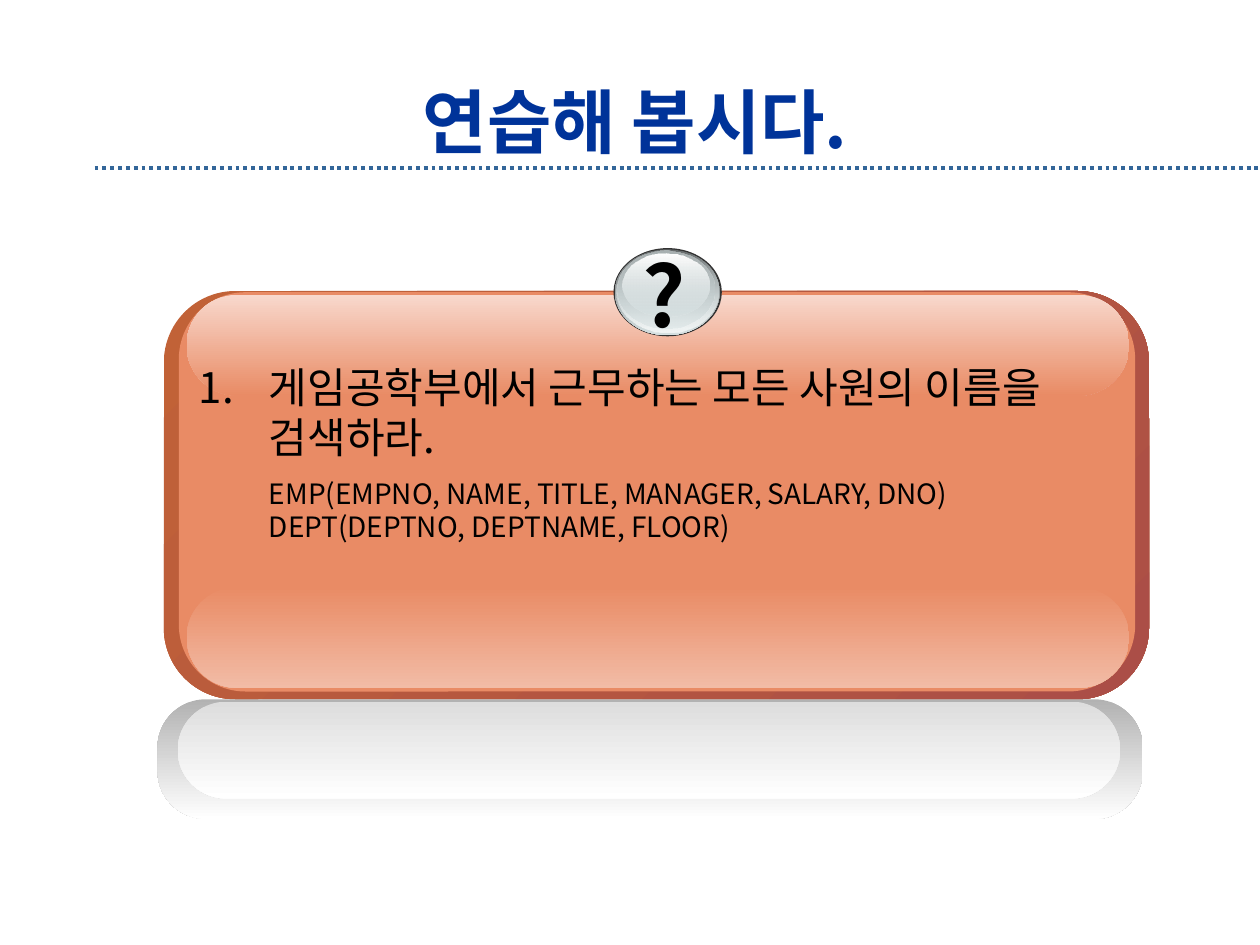
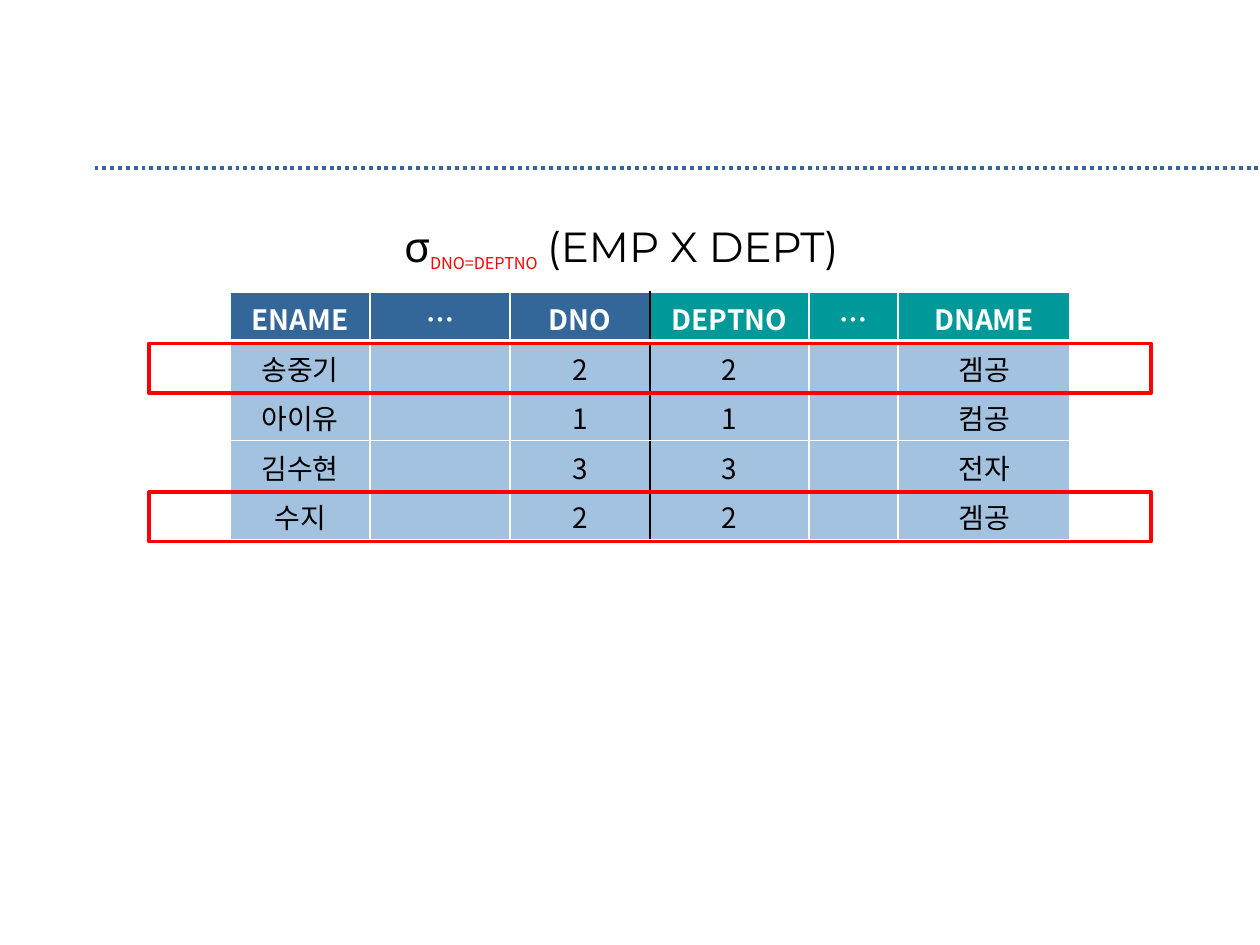
from dataclasses import dataclass

from lxml import etree
from pptx import Presentation
from pptx.dml.color import RGBColor
from pptx.enum import dml, shapes, text
from pptx.oxml import ns
from pptx.util import Pt


@dataclass(frozen=True)
class Theme:
    font: str = "Noto Sans CJK KR"
    formula_font: str = "Montserrat"
    title_size: int = 40
    mark_size: int = 48
    body_size: int = 24
    small_size: int = 16
    title: str = "003399"
    ink: str = "000000"
    white: str = "FFFFFF"
    rule: str = "336699"
    accent: str = "009999"
    cell: str = "A3C2E0"
    alert: str = "FF0000"
    card: str = "E98B65"
    silver: str = "D6E1E2"
    disc_edge: str = "333333"


THEME = Theme()
OVAL = shapes.MSO_SHAPE.OVAL
ROUNDED = shapes.MSO_SHAPE.ROUNDED_RECTANGLE


def color(value):
    return RGBColor.from_string(value)


def add_xml(parent, tag, **attributes):
    return etree.SubElement(parent, ns.qn(tag), attributes)


def set_font(font, size, ink=THEME.ink, bold=False, name=THEME.font):
    font.size = Pt(size)
    font.bold = bold
    font.name = name
    font.color.rgb = color(ink)
    add_xml(font._element, "a:ea", typeface=name)


def points(bounds):
    return [Pt(value) for value in bounds]


def add_rule(page):
    rule = page.shapes.add_connector(shapes.MSO_CONNECTOR.STRAIGHT, *points((54, 96, 720, 96)))
    rule.line.color.rgb = color(THEME.rule)
    rule.line.width = Pt(2.25)
    rule.line.dash_style = dml.MSO_LINE.ROUND_DOT
    add_xml(rule._element.spPr, "a:effectLst")


def add_title(page, words):
    box = page.shapes.title
    box.left, box.top, box.width, box.height = points((54, 48, 618, 42))
    frame = box.text_frame
    frame.text = words
    frame.auto_size = text.MSO_AUTO_SIZE.NONE
    frame.vertical_anchor = text.MSO_ANCHOR.MIDDLE
    para = frame.paragraphs[0]
    para.alignment = text.PP_ALIGN.CENTER
    set_font(para.font, THEME.title_size, THEME.title, True)


def add_solid(page, kind, bounds, fill, corner=None):
    shape = page.shapes.add_shape(kind, *points(bounds))
    shape.shadow.inherit = False
    shape.line.fill.background()
    shape.fill.solid()
    shape.fill.fore_color.rgb = color(fill)
    if corner is not None:
        shape.adjustments[0] = corner
    return shape


def add_gradient(page, kind, bounds, start, end, corner=None, angle=90, alphas=(100, 100)):
    shape = add_solid(page, kind, bounds, start, corner)
    shape.fill.gradient()
    shape.fill.gradient_angle = 360 - angle
    for stop, value in zip(shape.fill.gradient_stops, (start, end)):
        stop.color.rgb = color(value)
    for node, alpha in zip(shape._element.spPr.iter(ns.qn("a:srgbClr")), alphas):
        if alpha < 100:
            add_xml(node, "a:alpha", val=str(alpha * 1000))


def add_frame(page, bounds, wrap=False):
    frame = page.shapes.add_textbox(*points(bounds)).text_frame
    frame.word_wrap = wrap
    return frame


def add_card(page):
    add_gradient(page, ROUNDED, (93.6, 166.3, 563, 233.3), "C16237", "AB4E47", 0.175, 45)
    add_solid(page, ROUNDED, (102.2, 167, 546.5, 228.2), THEME.card, 0.167)
    add_gradient(page, ROUNDED, (106.6, 335.5, 538.6, 57.6), THEME.card, "F2BCA6", 0.5)
    add_gradient(page, ROUNDED, (106.6, 168.5, 538.6, 57.6), "F8D8CC", THEME.card, 0.5)
    add_gradient(page, ROUNDED, (90, 399.6, 563, 68.4), "B2B2B2", THEME.white, 0.404)
    add_gradient(page, ROUNDED, (101.5, 401, 538.6, 55.4), "DDDDDD", THEME.white, 0.5)


def add_question_mark(page):
    add_solid(page, OVAL, (350.6, 141.8, 61.9, 50.4), THEME.disc_edge)
    for bounds, start, end, alphas in (
        ((351.4, 142.5, 59.8, 49), "636869", THEME.silver, (100, 100)),
        ((352.1, 142.6, 58.3, 47.5), THEME.silver, "F1F5F5", (0, 100)),
        ((352.8, 143.3, 55.4, 44.6), "AAB2B3", THEME.silver, (100, 48)),
        ((355.7, 144.7, 49.7, 36), THEME.white, THEME.silver, (100, 38)),
    ):
        add_gradient(page, OVAL, bounds, start, end, alphas=alphas)
    para = add_frame(page, (360, 135.4, 41.8, 65.5)).paragraphs[0]
    para.text = "?"
    set_font(para.font, THEME.mark_size, bold=True)


def add_exercise(page, question, schemas):
    frame = add_frame(page, (106.6, 203, 545.8, 113.8), True)
    for index, words in enumerate([question, *schemas]):
        para = frame.paragraphs[0] if index == 0 else frame.add_paragraph()
        para.text = words
        properties = para._p.get_or_add_pPr()
        properties.set("marL", str(Pt(40)))
        if index == 0:
            properties.set("indent", str(-Pt(40)))
            add_xml(properties, "a:buFont", typeface="+mj-lt")
            add_xml(properties, "a:buAutoNum", type="arabicPeriod")
        elif index == 1:
            para.space_before = Pt(8)
        set_font(para.font, THEME.small_size if index else THEME.body_size)


def add_formula(page):
    para = add_frame(page, (223.9, 122.4, 295.2, 36)).paragraphs[0]
    for words, size, ink, name in (
        ("σ", THEME.body_size, THEME.ink, THEME.formula_font),
        ("DNO=DEPTNO", THEME.small_size, THEME.alert, THEME.font),
        (" ", THEME.body_size, THEME.ink, THEME.font),
        ("(EMP X DEPT)", THEME.body_size, THEME.ink, THEME.formula_font),
    ):
        span = para.add_run()
        span.text = words
        set_font(span.font, size, ink, name=name)
        if ink == THEME.alert:
            span.font._element.set("baseline", "-25000")


def set_borders(cell, **edges):
    properties = cell._tc.get_or_add_tcPr()
    for position, side in enumerate("LRTB"):
        ink, width = edges.get(side, (THEME.white, 1))
        line = etree.Element(ns.qn(f"a:ln{side}"), w=str(Pt(width)))
        add_xml(add_xml(line, "a:solidFill"), "a:srgbClr", val=ink)
        properties.insert(position, line)


def add_join_table(page, rows, widths, left, top, row_height, emp_columns):
    table = page.shapes.add_table(
        len(rows), len(widths), *points((left, top, sum(widths), row_height * len(rows)))
    ).table
    for column, width in zip(table.columns, widths):
        column.width = Pt(width)
    for row_index, row in enumerate(rows):
        header = row_index == 0
        for column_index, words in enumerate(row):
            cell = table.cell(row_index, column_index)
            head_fill = THEME.rule if column_index < emp_columns else THEME.accent
            cell.fill.solid()
            cell.fill.fore_color.rgb = color(head_fill if header else THEME.cell)
            edges = {"B": (THEME.white, 3)} if header else {}
            if row_index == 1:
                edges["T"] = (THEME.white, 3)
            if column_index == emp_columns - 1:
                edges["R"] = (THEME.ink, 1)
            if column_index == emp_columns:
                edges["L"] = (THEME.ink, 1)
            set_borders(cell, **edges)
            para = cell.text_frame.paragraphs[0]
            para.alignment = text.PP_ALIGN.CENTER
            if words:
                para.text = words
            else:
                add_xml(para._p, "a:endParaRPr", sz=str(THEME.small_size * 100))
            set_font(para.font, THEME.small_size, THEME.white if header else THEME.ink, header)


def add_highlight(page, bounds):
    shape = page.shapes.add_shape(shapes.MSO_SHAPE.RECTANGLE, *points(bounds))
    shape.shadow.inherit = False
    shape.fill.background()
    shape.line.color.rgb = color(THEME.alert)
    shape.line.width = Pt(2)


def build_exercise(deck):
    page = deck.slides.add_slide(deck.slide_layouts[5])
    add_rule(page)
    add_title(page, "연습해 봅시다.")
    add_card(page)
    add_question_mark(page)
    add_exercise(
        page,
        "게임공학부에서 근무하는 모든 사원의 이름을 검색하라.",
        ["EMP(EMPNO, NAME, TITLE, MANAGER, SALARY, DNO)", "DEPT(DEPTNO, DEPTNAME, FLOOR)"],
    )


def build_join(deck):
    page = deck.slides.add_slide(deck.slide_layouts[6])
    add_rule(page)
    add_formula(page)
    employees = [("송중기", "2", "겜공"), ("아이유", "1", "컴공"), ("김수현", "3", "전자"), ("수지", "2", "겜공")]
    rows = [("ENAME", "…", "DNO", "DEPTNO", "…", "DNAME")]
    rows += [(name, "", number, number, "", department) for name, number, department in employees]
    left, top, row_height = 131.5, 167, 28.3
    add_join_table(page, rows, (80, 80, 80, 90.7, 51.1, 98.2), left, top, row_height, 3)
    for row_index in (1, 4):
        add_highlight(page, (85, top + row_height * row_index + 1, 572.8, row_height))


def main():
    deck = Presentation()
    deck.slide_width, deck.slide_height = Pt(720), Pt(540)
    build_exercise(deck)
    build_join(deck)
    deck.save("out.pptx")


if __name__ == "__main__":
    main()
